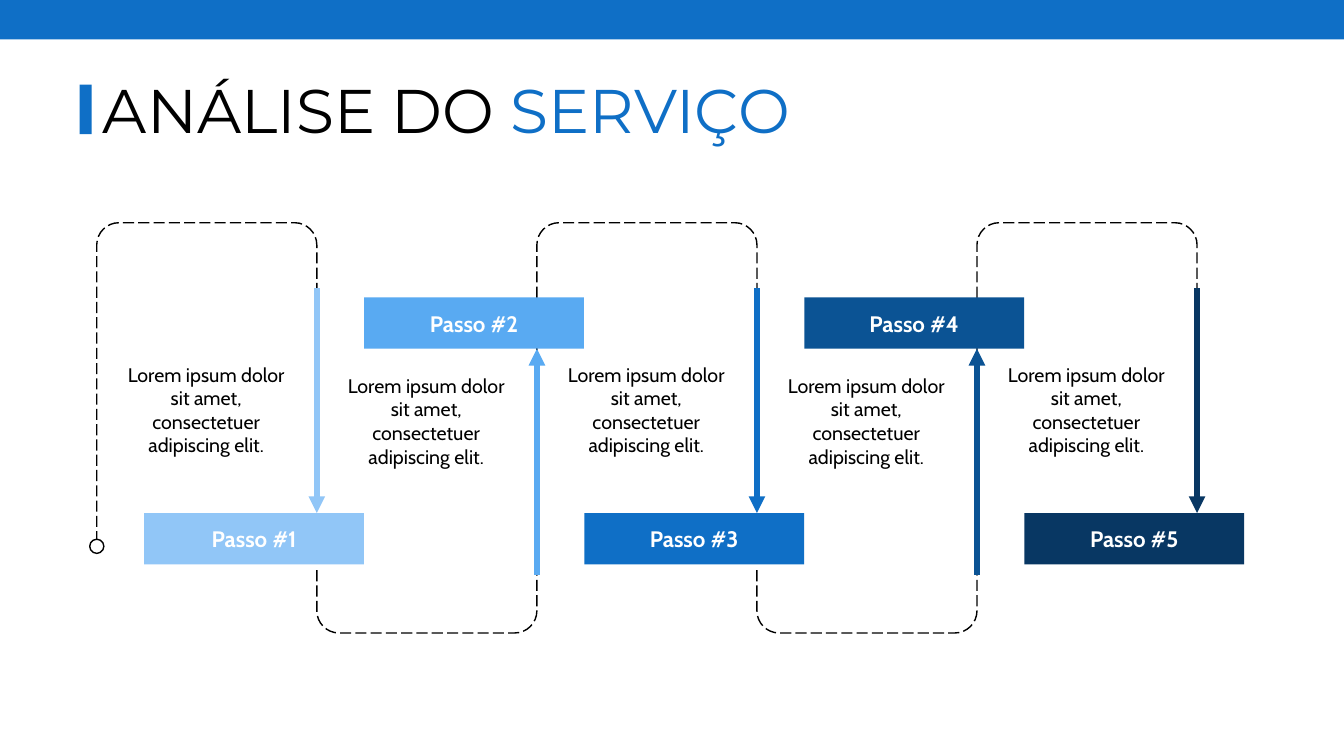
from pptx import Presentation
from pptx.dml.color import RGBColor
from pptx.enum.dml import MSO_LINE as Dash
from pptx.enum.shapes import MSO_CONNECTOR as Conn, MSO_SHAPE as Kind
from pptx.enum.text import MSO_ANCHOR as Anchor, MSO_AUTO_SIZE as Fit, PP_ALIGN as Align
from pptx.oxml.ns import qn
from pptx.util import Inches, Pt
from lxml.etree import SubElement


def color(code):
    return RGBColor.from_string(code)


class Deck:
    head, body = "Montserrat", "Cabin"
    blue, black, white = "0F6FC6", "000000", "FFFFFF"

    def __init__(self, wide, high):
        self.prs = Presentation()
        self.prs.slide_width = Inches(wide)
        self.prs.slide_height = Inches(high)
        self.slide = self.prs.slides.add_slide(self.prs.slide_layouts[5])
        self.shapes = self.slide.shapes

    def style(self, run, name, size, code, bold=False):
        font = run.font
        font.name, font.size, font.bold = name, Pt(size), bold
        font.color.rgb = color(code)

    def title(self, parts, *area):
        box = self.shapes.title
        box.left, box.top, box.width, box.height = map(Inches, area)
        frame = box.text_frame
        frame.auto_size = Fit.NONE
        frame.vertical_anchor = Anchor.MIDDLE
        para = frame.paragraphs[0]
        para.alignment, para.line_spacing = Align.LEFT, 0.9
        for text, code in parts:
            run = para.add_run()
            run.text = text
            self.style(run, self.head, 44, code)

    def block(self, fill, *area, kind=Kind.RECTANGLE, text="", line=None):
        box = self.shapes.add_shape(kind, *map(Inches, area))
        box.shadow.inherit = False
        box.fill.solid()
        box.fill.fore_color.rgb = color(fill)
        if line:
            box.line.color.rgb = color(line)
            box.line.width = Pt(1)
        else:
            box.line.fill.background()
        if text:
            frame = box.text_frame
            frame.text = text
            frame.vertical_anchor = Anchor.MIDDLE
            para = frame.paragraphs[0]
            para.alignment = Align.CENTER
            self.style(para.runs[0], self.body, 16, self.white, True)

    def note(self, text, *area):
        frame = self.shapes.add_textbox(*map(Inches, area)).text_frame
        frame.word_wrap = True
        frame.auto_size = Fit.SHAPE_TO_FIT_TEXT
        frame.text = text
        para = frame.paragraphs[0]
        para.alignment = Align.CENTER
        self.style(para.runs[0], self.body, 14, self.black)

    def arrow(self, code, x, start, end):
        line = self.shapes.add_connector(
            Conn.STRAIGHT, Inches(x), Inches(start), Inches(x), Inches(end))
        line.line.color.rgb = color(code)
        line.line.width = Pt(4)
        SubElement(line.line._get_or_add_ln(), qn("a:tailEnd"), type="triangle")
        SubElement(line._element.spPr, qn("a:effectLst"))

    def loop(self, x, start, edge, far, end):
        """Dashed run from (x, start) along the edge to (far, end)."""
        dx = 0.22 if far > x else -0.22
        dy = 0.22 if start > edge else -0.22
        near = [(x, edge + dy), (x, edge + dy * 0.45), (x + dx * 0.45, edge), (x + dx, edge)]
        off = [(far - dx, edge), (far - dx * 0.45, edge), (far, edge + dy * 0.45), (far, edge + dy)]
        pen = self.shapes.build_freeform(Inches(x), Inches(start))
        pen.add_line_segments(
            [(Inches(a), Inches(b)) for a, b in near + off + [(far, end)]], close=False)
        shape = pen.convert_to_shape()
        # Turn the three points after each corner's start into one curve
        steps = shape._element.xpath(".//a:path/a:lnTo")
        for first in (1, 5):
            curve, *rest = steps[first:first + 3]
            for step in rest:
                curve.append(step[0])
                step.getparent().remove(step)
            curve.tag = qn("a:cubicBezTo")
        shape.shadow.inherit = False
        shape.fill.background()
        shape.line.color.rgb = color(self.black)
        shape.line.width = Pt(1)
        shape.line.dash_style = Dash.LONG_DASH


def main():
    deck = Deck(13.33, 7.5)

    # Heading
    deck.block(deck.blue, 0, 0, 13.33, 0.39)
    deck.title([("ANÁLISE DO ", deck.black), ("SERVIÇO", deck.blue)], 0.92, 0.4, 11.5, 1.45)
    deck.block(deck.blue, 0.79, 0.84, 0.12, 0.49)

    # Dashed trail: over the odd steps, under the even ones
    pitch = 2.1825
    rails = [0.96 + pitch * n for n in range(6)]
    for n, (left, right) in enumerate(zip(rails, rails[1:])):
        if n % 2:
            deck.loop(right, 5.45, 6.28, left, 5.64)
        else:
            deck.loop(left, 5.38, 2.21, right, 2.86)
    deck.block(deck.white, 0.89, 5.35, 0.14, 0.14, kind=Kind.OVAL, line=deck.black)

    # Steps
    text = "Lorem ipsum dolor sit amet, consectetuer adipiscing elit."
    tones = ["91C6F7", "59AAF2", deck.blue, "0B5394", "083763"]
    for n, tone in enumerate(tones):
        up = n % 2
        shift = pitch * n
        start, end = (5.7, 3.46) if up else (2.86, 5.09)
        deck.arrow(tone, rails[n + 1], start, end)
        deck.block(tone, 1.43 + shift, 2.95 if up else 5.09, 2.18, 0.51, text=f"Passo #{n + 1}")
        deck.note(text, 1.07 + shift, 3.66 if up else 3.55, 1.95, 1.04)

    deck.prs.save("out.pptx")


if __name__ == "__main__":
    main()
